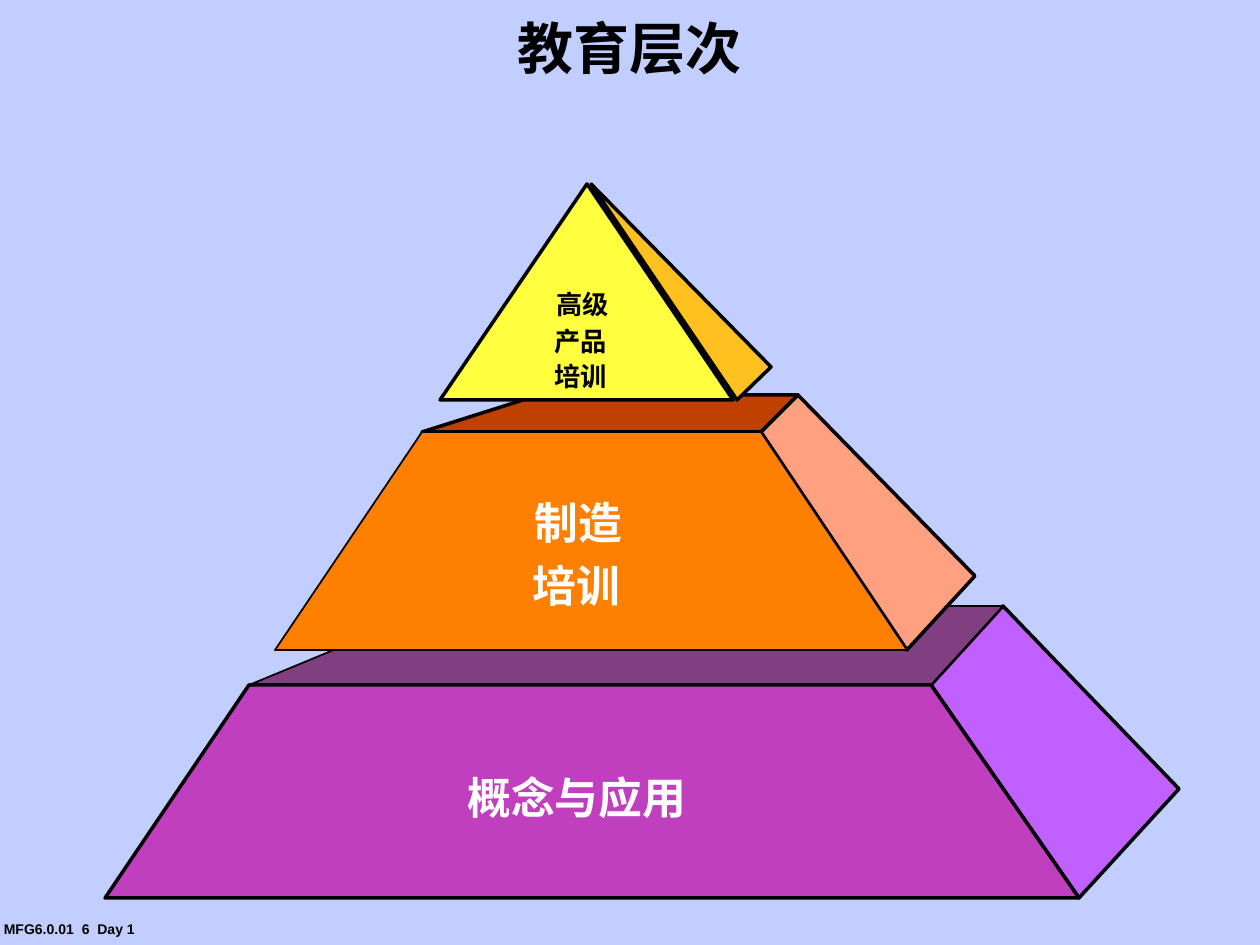
import pptx
import pptx.dml.color
import pptx.enum.text
import pptx.oxml.ns
import pptx.util
from lxml import etree

EMU_PER_PX = 914400 / 126
CJK = "Noto Sans CJK SC"
BLACK, WHITE = "000000", "FFFFFF"
LEFT = pptx.enum.text.PP_ALIGN.LEFT
CENTER = pptx.enum.text.PP_ALIGN.CENTER


def px(length):
    return pptx.util.Emu(round(length * EMU_PER_PX))


def paint(fill, color):
    fill.solid()
    fill.fore_color.rgb = pptx.dml.color.RGBColor.from_string(color)


def add_text(slide, box, text, size, color, font=CJK, align=LEFT):
    """Place one bold line of text in box and return its frame."""
    frame = slide.shapes.add_textbox(*map(px, box)).text_frame
    frame.word_wrap = False
    frame.auto_size = pptx.enum.text.MSO_AUTO_SIZE.SHAPE_TO_FIT_TEXT
    paragraph = frame.paragraphs[0]
    paragraph.text = text
    paragraph.alignment = align
    run = paragraph.runs[0]
    run.font.size = pptx.util.Pt(size)
    run.font.bold = True
    run.font.name = font
    paint(run.font.fill, color)
    east_asian = etree.SubElement(run.font._element, pptx.oxml.ns.qn("a:ea"))
    east_asian.set("typeface", font)
    return frame


def add_face(slide, origin, corners, color, line_width):
    """Draw one outlined face; corners are relative to origin."""
    left, top = origin
    points = [(left + x, top + y) for x, y in corners]
    builder = slide.shapes.build_freeform(*points[0], scale=EMU_PER_PX)
    builder.add_line_segments(points[1:], close=True)
    face = builder.convert_to_shape()
    face.shadow.inherit = False
    paint(face.fill, color)
    paint(face.line.fill, BLACK)
    face.line.width = pptx.util.Pt(line_width)
    etree.SubElement(face.line._ln, pptx.oxml.ns.qn("a:round"))


def add_labels(slide, origin, labels, size, color):
    """Place (x, y, text) labels relative to origin."""
    left, top = origin
    for x, y, text in labels:
        width = len(text) * size * 1.75 + 25
        box = (left + x, top + y, width, size * 2 + 14)
        add_text(slide, box, text, size, color)


def add_tier(slide, box, front, back, far_y, colors, widths, labels):
    """Truncated tier: side, top and front faces, then its labels.

    front: upper left x, upper right x, lower right x, upper edge y
    back: left x, right x of the rear upper edge
    """
    left, top, width, height = box
    origin = (left, top)
    upper_left, upper_right, lower_right, edge_y = front
    back_left, back_right = back
    near_left, near_right = (upper_left, edge_y), (upper_right, edge_y)
    rear_left, rear_right = (back_left, 0), (back_right, 0)
    foot = (lower_right, height)
    faces = [
        [near_right, foot, (width, far_y), rear_right],
        [near_left, near_right, rear_right, rear_left],
        [(0, height), foot, near_right, near_left],
    ]
    for corners, color, line_width in zip(faces, colors, widths):
        add_face(slide, origin, corners, color, line_width)
    add_labels(slide, origin, labels, 25, WHITE)


def add_peak(slide, box, labels):
    """Pointed top tier: side and front faces, then its labels."""
    left, top, width, height = box
    origin = (left, top)
    side = [(297, height), (width, 183), (151, 0)]
    front = [(0, height), (293, height), (147, 0)]
    add_face(slide, origin, side, "FFC020", 2)
    add_face(slide, origin, front, "FFFF40", 2)
    add_labels(slide, origin, labels, 15, BLACK)


def add_title(slide, box):
    frame = add_text(slide, box, "教育层次", 32, BLACK, align=CENTER)
    frame.auto_size = pptx.enum.text.MSO_AUTO_SIZE.NONE
    frame.word_wrap = True
    frame.vertical_anchor = pptx.enum.text.MSO_ANCHOR.MIDDLE
    frame.paragraphs[0].line_spacing = 0.9


def main():
    deck = pptx.Presentation()
    deck.slide_width, deck.slide_height = px(1260), px(945)
    slide = deck.slides.add_slide(deck.slide_layouts[6])
    paint(slide.background.fill, "C1CEFF")

    # Footer and title
    add_text(slide, (-39, 914, 217, 29), "MFG6.0.01  6  Day 1", 8, BLACK,
             font="Arial", align=CENTER)
    add_title(slide, (0, 8, 1259, 86))

    # Pyramid, from the base up
    add_tier(slide, (105, 606, 1074, 292),
             front=(144, 826, 974, 79), back=(335, 898), far_y=183,
             colors=("C060FF", "813F81", "C03FBF"), widths=(2, 1, 2),
             labels=[(350, 159, "概念与应用")])
    add_tier(slide, (275, 395, 700, 255),
             front=(147, 486, 632, 37), back=(264, 523), far_y=181,
             colors=("FFA080", "C04000", "FF8000"), widths=(2, 2, 1),
             labels=[(247, 95, "制造"), (245, 158, "培训")])
    add_peak(slide, (440, 184, 331, 216),
             labels=[(104, 98, "高级"), (102, 135, "产品"), (102, 170, "培训")])

    deck.save("out.pptx")


if __name__ == "__main__":
    main()
